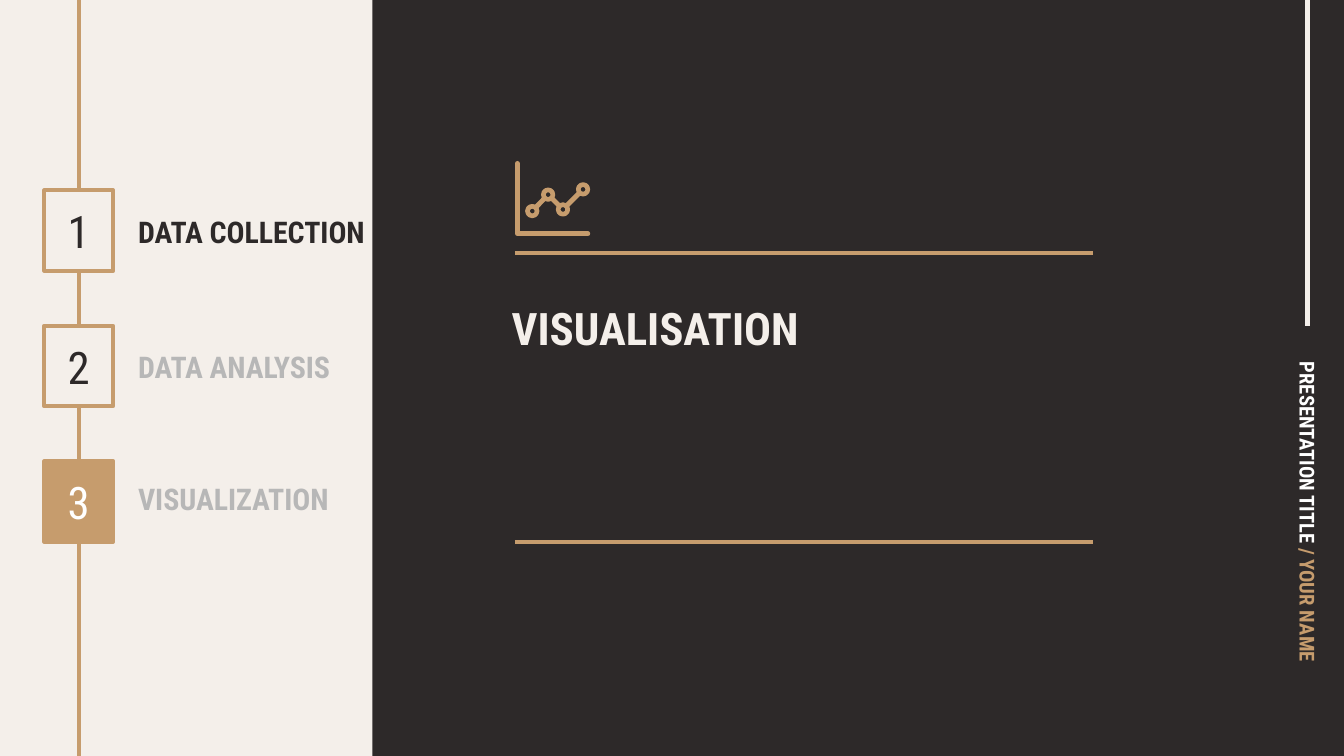
"""Build a section slide with a three-step timeline and a section title."""
from pptx import Presentation, util as u
from pptx.dml.color import RGBColor
from pptx.enum import shapes, text
from pptx.oxml.ns import qn
from pptx.oxml.xmlchemy import OxmlElement

COLORS = {"dark": "2D2929", "cream": "F4EFEA", "tan": "C69C6D",
          "grey": "B7B7B7", "white": "FFFFFF"}
ALIGN = text.PP_ALIGN
ANCHOR = text.MSO_ANCHOR


class SectionSlide:
    """Holds the style and the current slide."""

    font = "Roboto Condensed"
    stroke = 2.25
    inset = u.Cm(0.25)

    def __init__(self, deck):
        self.slide = deck.slides.add_slide(deck.slide_layouts[5])
        self.shapes = self.slide.shapes
        self.paint(self.slide.background.fill, "dark")

    @staticmethod
    def color(name):
        return RGBColor.from_string(COLORS[name])

    def paint(self, fill, name):
        fill.solid()
        fill.fore_color.rgb = self.color(name)

    def outline(self, item, name, width):
        item.line.color.rgb = self.color(name)
        item.line.width = u.Pt(width)

    def box(self, left, top, width, height, fill, line=None,
            kind=shapes.MSO_SHAPE.RECTANGLE, weight=stroke):
        item = self.shapes.add_shape(kind, *map(u.Cm, (left, top, width, height)))
        item.shadow.inherit = False
        self.paint(item.fill, fill)
        if line:
            self.outline(item, line, weight)
        else:
            item.line.fill.background()

    def rule(self, x1, y1, x2, y2, name):
        item = self.shapes.add_connector(
            shapes.MSO_CONNECTOR.STRAIGHT, *map(u.Cm, (x1, y1, x2, y2)))
        self.outline(item, name, self.stroke)
        item._element.spPr.append(OxmlElement("a:effectLst"))

    def polyline(self, points, name, weight):
        start, *rest = [tuple(map(u.Cm, point)) for point in points]
        builder = self.shapes.build_freeform(*start)
        builder.add_line_segments(rest, close=False)
        item = builder.convert_to_shape()
        item.shadow.inherit = False
        item.fill.background()
        self.outline(item, name, weight)
        item._element.spPr.find(qn("a:ln")).set("cap", "rnd")

    def label(self, place, runs, size, bold=True, align=ALIGN.LEFT,
              anchor=ANCHOR.MIDDLE, spacing=1.0, rotation=0, holder=None):
        left, top, width, height = map(u.Cm, place)
        item = holder or self.shapes.add_textbox(left, top, width, height)
        frame = item.text_frame
        paragraph = frame.paragraphs[0]
        formats = (
            (item, {"left": left, "top": top, "width": width,
                    "height": height, "rotation": rotation}),
            (frame, {"word_wrap": True, "auto_size": text.MSO_AUTO_SIZE.NONE,
                     "vertical_anchor": anchor,
                     "margin_left": self.inset, "margin_right": self.inset,
                     "margin_top": self.inset, "margin_bottom": self.inset}),
            (paragraph, {"alignment": align, "line_spacing": spacing}),
        )
        for target, values in formats:
            for key, value in values.items():
                setattr(target, key, value)
        for words, name in runs:
            run = paragraph.add_run()
            run.text = words
            font_values = {"name": self.font, "size": u.Pt(size), "bold": bold}
            for key, value in font_values.items():
                setattr(run.font, key, value)
            run.font.color.rgb = self.color(name)


def main():
    deck = Presentation()
    deck.slide_width, deck.slide_height = u.Cm(25.4), u.Cm(14.29)
    section = SectionSlide(deck)

    section.rule(24.71, -0.2, 24.71, 6.17, "cream")
    section.box(-0.2, 0, 7.24, 14.29, "cream")
    section.rule(1.49, -0.08, 1.49, 14.45, "tan")

    steps = [("DATA COLLECTION", "dark", 3.28, "cream", "dark"),
             ("DATA ANALYSIS", "grey", 5.84, "cream", "dark"),
             ("VISUALIZATION", "grey", 8.33, "tan", "white")]
    for index, (name, ink, label_top, fill, digit_ink) in enumerate(steps):
        top = 3.6 + index * 2.56
        section.box(0.84, top, 1.3, 1.52, fill, "tan")
        section.label((0.13, top + 0.08, 2.72, 1.37), [(str(index + 1), digit_ink)],
                      24, bold=False, align=ALIGN.CENTER)
        section.label((2.36, label_top, 6.45, 2.18), [(name, ink)], 16)

    for rule_top in (4.78, 10.25):
        section.rule(9.73, rule_top, 20.65, rule_top, "tan")
    section.label((9.42, 4.78, 12.9, 2.18), [("VISUALISATION", "cream")], 24,
                  anchor=ANCHOR.BOTTOM, spacing=1.15, holder=section.shapes.title)
    section.label((18.57, 6.35, 12.29, 0.53),
                  [("PRESENTATION TITLE ", "white"), ("/ YOUR NAME", "tan")],
                  11, align=ALIGN.RIGHT, rotation=90)

    axes = [(9.78, 3.09), (9.78, 4.42), (11.11, 4.42)]
    trend = [(10.06, 3.99), (10.36, 3.68), (10.64, 3.96), (11.02, 3.58)]
    for points in (axes, trend):
        section.polyline(points, "tan", 2.6)
    node = 0.18
    for x, y in trend:
        section.box(x - node / 2, y - node / 2, node, node, "dark", "tan",
                    shapes.MSO_SHAPE.OVAL, 2.5)

    deck.save("out.pptx")


if __name__ == "__main__":
    main()
